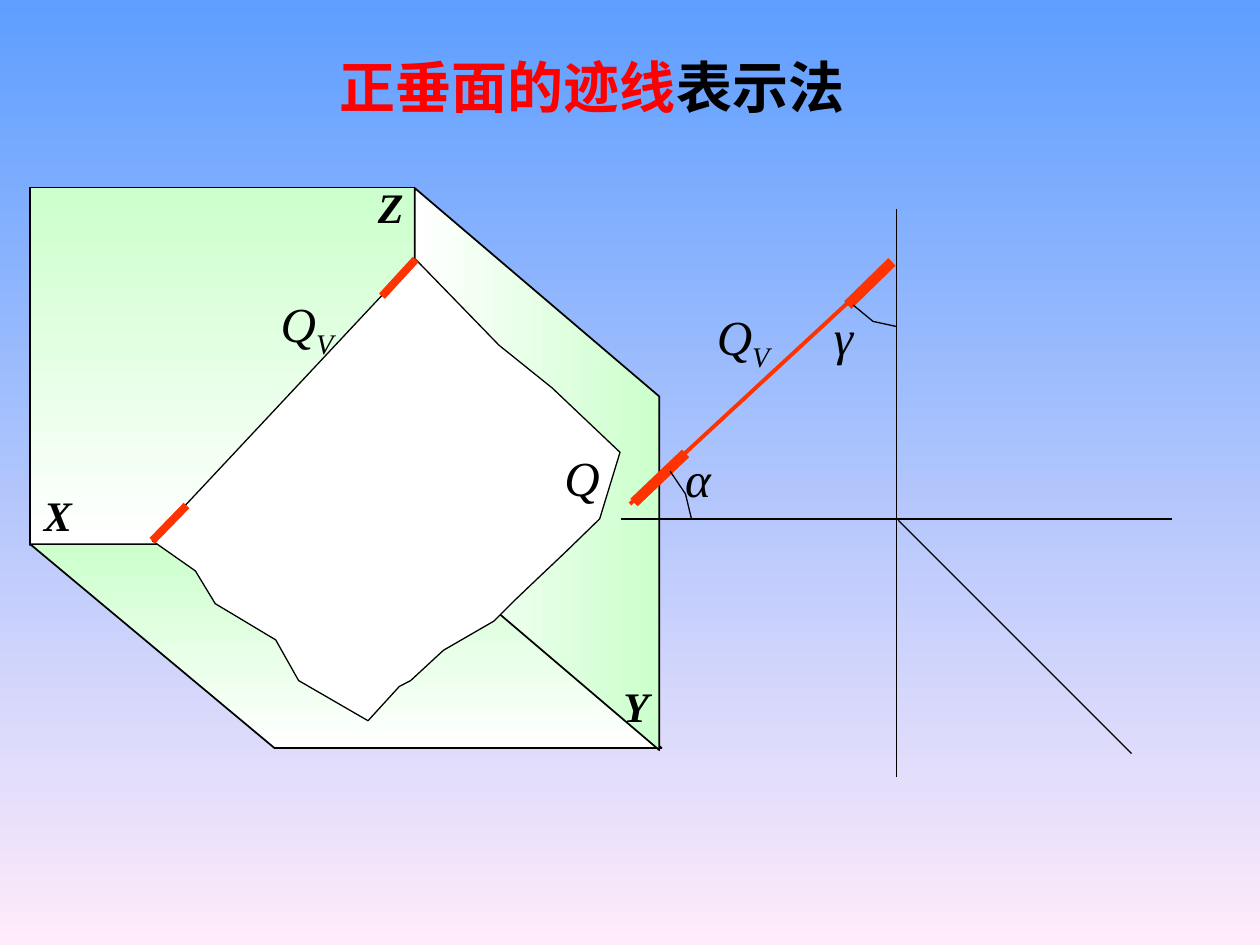
from pptx import Presentation
from pptx.dml.color import RGBColor
from pptx.enum.shapes import MSO_CONNECTOR, MSO_SHAPE
from pptx.enum.text import MSO_ANCHOR, PP_ALIGN
from pptx.oxml.ns import qn
from pptx.util import Cm, Pt
from lxml.etree import SubElement

BLACK, RED, TRACE = "000000", "FF0000", "FF3300"
GREEN, WHITE = "CCFFCC", "FFFFFF"

# Positions and sizes are in centimetres: left, top, width, height.
TITLE_AREA = (4.85, 0.89, 14.17, 1.7)
TITLE = [("正垂面的迹线", RED), ("表示法", BLACK)]

# preset, area, adjustment, rotation, mirrored, gradient angle
WALLS = [
    (MSO_SHAPE.RECTANGLE, (0.61, 3.78, 7.75, 7.21), None, 0, False, 270),
    (MSO_SHAPE.PARALLELOGRAM, (0.61, 10.97, 12.73, 4.11), 1.198, 0, True, 270),
    (MSO_SHAPE.PARALLELOGRAM, (5.16, 6.99, 11.33, 4.93), 0.852, 270, False, 180),
]

AXIS_NAMES = [("X", 0.3, 9.75), ("Z", 7.01, 3.53), ("Y", 11.96, 13.59)]
AXIS_NAME_SIZE = (1.73, 1.27)

PLANE_Q = [
    (3.07, 10.9), (8.38, 5.23), (9.07, 5.94), (10.06, 6.96), (11.13, 7.82),
    (12.5, 9.12), (12.09, 10.46), (11.38, 11.15), (10.82, 11.68),
    (10.39, 12.09), (9.96, 12.52), (8.94, 13.11), (8.28, 13.72),
    (8.05, 13.84), (7.42, 14.53), (6.02, 13.72), (5.56, 12.9),
    (4.34, 12.17), (3.94, 11.51),
]
ANGLE_ARCS = [
    [(17.2, 6.15), (17.6, 6.48), (18.06, 6.58)],
    [(13.51, 9.5), (13.82, 9.96), (13.94, 10.46)],
]

# start, end, colour, width in points
LINES = [
    ((3.76, 10.19), (3.07, 10.9), TRACE, 4.5),
    ((8.38, 5.23), (7.7, 5.97), TRACE, 4.5),
    ((18.08, 15.67), (18.08, 4.22), BLACK, 0.75),
    ((12.7, 10.16), (17.98, 5.28), TRACE, 2.25),
    ((23.62, 10.46), (12.52, 10.46), BLACK, 0.75),
    ((12.78, 10.13), (13.82, 9.14), TRACE, 6),
    ((17.98, 5.28), (17.09, 6.15), TRACE, 6),
    ((18.11, 10.49), (22.81, 15.19), BLACK, 0.75),
]

# letter, subscript, area
SYMBOLS = [
    ("Q", "", (11.13, 8.89, 1.07, 1.45)),
    ("Q", "V", (5.41, 5.79, 2.49, 1.6)),
    ("α", "", (13.56, 8.92, 1.02, 1.45)),
    ("γ", "", (16.56, 6.05, 1.14, 1.45)),
    ("Q", "V", (14.2, 6.05, 2.11, 1.6)),
]

TITLE_FONT = {"name": "Arial", "size": Pt(32), "bold": True}
AXIS_FONT = {"name": "Times New Roman", "size": Pt(24), "bold": True, "italic": True}
SYMBOL_FONT = {"name": "Times New Roman", "size": Pt(28), "italic": True}


def rgb(colour):
    return RGBColor.from_string(colour)


def lengths(values):
    return [Cm(value) for value in values]


def set_gradient(fill, colours, angle):
    fill.gradient()
    fill.gradient_angle = angle
    for stop, colour in zip(fill.gradient_stops, colours):
        stop.color.rgb = rgb(colour)


def set_line(shape, colour, width):
    shape.line.color.rgb = rgb(colour)
    shape.line.width = Pt(width)


def add_wall(page, preset, area, adjustment, rotation, mirrored, angle):
    wall = page.shapes.add_shape(preset, *lengths(area))
    wall.shadow.inherit = False
    wall.rotation = rotation
    if adjustment:
        wall.adjustments[0] = adjustment
    if mirrored:
        wall._element.spPr.find(qn("a:xfrm")).set("flipH", "1")
    set_gradient(wall.fill, (GREEN, WHITE), angle)
    wall._element.spPr.find(qn("a:gradFill")).set("rotWithShape", "0")
    set_line(wall, BLACK, 1)


def add_outline(page, points, fill=None):
    """Draw a thin black outline; it is closed when it has a fill."""
    corners = [lengths(point) for point in points]
    builder = page.shapes.build_freeform(*corners[0])
    builder.add_line_segments(corners[1:], close=fill is not None)
    outline = builder.convert_to_shape()
    outline.shadow.inherit = False
    if fill:
        outline.fill.solid()
        outline.fill.fore_color.rgb = rgb(fill)
    else:
        outline.fill.background()
    set_line(outline, BLACK, 0.75)


def add_line(page, start, end, colour, width):
    line = page.shapes.add_connector(MSO_CONNECTOR.STRAIGHT, *lengths(start + end))
    set_line(line, colour, width)
    SubElement(line._element.spPr, qn("a:effectLst"))


def add_text(page, area, spans, font, align=PP_ALIGN.LEFT, anchor=MSO_ANCHOR.TOP):
    """Add a text box and return its spans."""
    box = page.shapes.add_textbox(*lengths(area))
    box.text_frame.word_wrap = True
    box.text_frame.vertical_anchor = anchor
    para = box.text_frame.paragraphs[0]
    para.alignment = align
    for text, colour in spans:
        span = para.add_run()
        span.text = text
        for key, value in font.items():
            setattr(span.font, key, value)
        span.font.color.rgb = rgb(colour)
    return para.runs


def add_symbol(page, letter, subscript, area):
    spans = [(text, BLACK) for text in (letter, subscript) if text]
    for span in add_text(page, area, spans, SYMBOL_FONT)[1:]:
        span.font._element.set("baseline", "-25000")


def main():
    deck = Presentation()
    deck.slide_width, deck.slide_height = Cm(25.4), Cm(19.05)
    page = deck.slides.add_slide(deck.slide_layouts[6])
    set_gradient(page.background.fill, ("5E9EFF", "FFEBFA"), 270)

    for wall in WALLS:
        add_wall(page, *wall)
    for name, left, top in AXIS_NAMES:
        add_text(page, (left, top, *AXIS_NAME_SIZE), [(name, BLACK)],
                 AXIS_FONT, PP_ALIGN.CENTER)
    add_text(page, TITLE_AREA, TITLE, TITLE_FONT, PP_ALIGN.CENTER, MSO_ANCHOR.MIDDLE)

    add_outline(page, PLANE_Q, WHITE)
    for line in LINES:
        add_line(page, *line)
    for arc in ANGLE_ARCS:
        add_outline(page, arc)
    for symbol in SYMBOLS:
        add_symbol(page, *symbol)

    deck.save("out.pptx")


if __name__ == "__main__":
    main()
